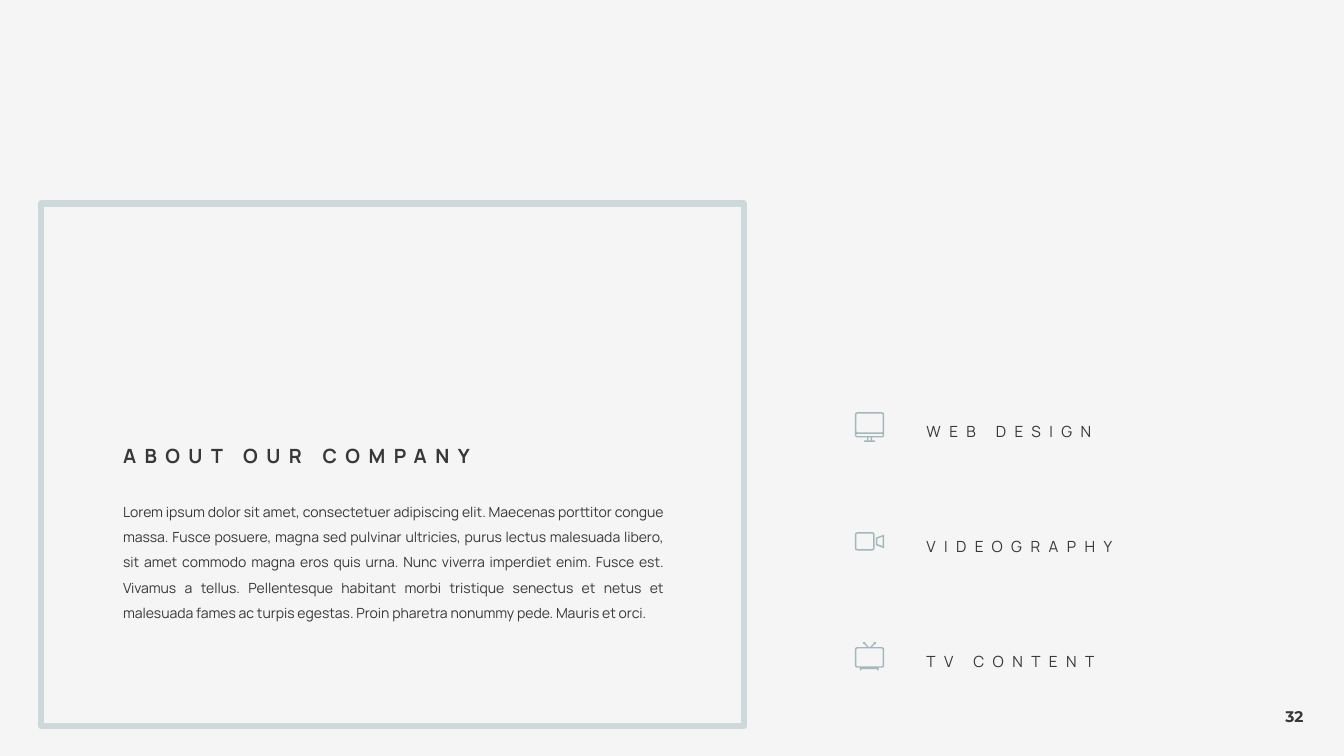
from pptx import Presentation, util as u
from pptx.dml.color import RGBColor
from pptx.enum import shapes, text
from pptx.oxml.ns import qn
from lxml import etree

PAPER = RGBColor(0xF5, 0xF5, 0xF5)
INK = RGBColor(0x38, 0x38, 0x3A)
SAGE = RGBColor(0xA1, 0xB9, 0xBB)
MIST = RGBColor(0xCD, 0xD8, 0xDA)

deck = Presentation()
deck.slide_width, deck.slide_height = u.Inches(13.33), u.Inches(7.5)
slide = deck.slides.add_slide(deck.slide_layouts[1])
slide.background.fill.solid()
slide.background.fill.fore_color.rgb = PAPER


def write(words, at, box=None, size=11, font="Manrope", bold=False, track=0,
          align=text.PP_ALIGN.LEFT, anchor=text.MSO_ANCHOR.TOP, lead=1.5, wrap=True):
    """Fill a placeholder, or a new text box, with one formatted paragraph."""
    spot = [u.Inches(n) for n in at]
    box = box or slide.shapes.add_textbox(*spot)
    box.left, box.top, box.width, box.height = spot
    frame = box.text_frame
    frame.word_wrap = wrap
    frame.auto_size = text.MSO_AUTO_SIZE.SHAPE_TO_FIT_TEXT
    frame.vertical_anchor = anchor
    para = frame.paragraphs[0]
    props = para._p.get_or_add_pPr()
    props.set("marL", "0")
    props.set("indent", "0")
    etree.SubElement(props, qn("a:buNone"))
    para.alignment, para.line_spacing = align, lead
    para.space_before = u.Pt(0)
    run = para.add_run()
    run.text = words
    run.font.size, run.font.name, run.font.bold = u.Pt(size), font, bold
    run.font.color.rgb = INK
    if track:
        run._r.get_or_add_rPr().set("spc", str(track * 100))


def draw(parts, left, top):
    """Draw an icon from (radius, corners) outlines in thousandths of an inch."""
    pen = None
    for radius, corners in parts:
        if len(corners) == 2:  # opposite corners of a box
            (l, t), (r, b) = corners
            corners = [(l, t), (r, t), (r, b), (l, b)]
        curve = []
        for i, (x, y) in enumerate(corners):
            ends = []
            for nx, ny in (corners[i - 1], corners[(i + 1) % len(corners)]):
                cut = radius / ((nx - x) ** 2 + (ny - y) ** 2) ** 0.5
                ends.append((x + (nx - x) * cut, y + (ny - y) * cut))
            (ax, ay), (bx, by) = ends
            for k in range(5 if radius else 1):
                s = k / 4
                curve.append(((1 - s) ** 2 * ax + 2 * s * (1 - s) * x + s * s * bx,
                              (1 - s) ** 2 * ay + 2 * s * (1 - s) * y + s * s * by))
        if pen is None:
            pen = slide.shapes.build_freeform(*curve[0], scale=u.Inches(0.001))
        else:
            pen.move_to(*curve[0])
        pen.add_line_segments(curve[1:], close=True)
    icon = pen.convert_to_shape(u.Inches(left), u.Inches(top))
    icon.shadow.inherit = False
    icon.fill.solid()
    icon.fill.fore_color.rgb = SAGE
    icon.line.fill.background()


# Page number
write("32", (12.65, 6.97, 0.41, 0.29), font="Montserrat", bold=True, lead=1, wrap=False)

# About the company
write("Lorem ipsum dolor sit amet, consectetuer adipiscing elit. Maecenas porttitor "
      "congue massa. Fusce posuere, magna sed pulvinar ultricies, purus lectus malesuada "
      "libero, sit amet commodo magna eros quis urna. Nunc viverra imperdiet enim. Fusce "
      "est. Vivamus a tellus. Pellentesque habitant morbi tristique senectus et netus et "
      "malesuada fames ac turpis egestas. Proin pharetra nonummy pede. Mauris et orci.",
      (1.12, 4.86, 5.56, 1.62), box=slide.placeholders[1], size=10,
      align=text.PP_ALIGN.JUSTIFY)
write("ABOUT OUR COMPANY", (1.12, 4.24, 5.56, 0.45), box=slide.shapes.title, size=14,
      bold=True, track=6, align=text.PP_ALIGN.JUSTIFY)

# Icon outlines
screen = [(25, [(0, 0), (290, 250)]), (14, [(14, 14), (276, 200)]),
          (10, [(14, 214), (276, 238)]), (0, [(120, 250), (134, 280)]),
          (0, [(156, 250), (170, 280)]), (5, [(90, 280), (200, 293)])]
camera = [(25, [(0, 50), (195, 232)]), (14, [(14, 64), (181, 218)]),
          (6, [(208, 104), (290, 74), (290, 210), (208, 180)]),
          (0, [(222, 114), (276, 94), (276, 188), (222, 168)])]
aerial = [(122, 50), (140, 50), (104, 14), (104, 0), (82, 0), (82, 20), (94, 22)]
tube = [(25, [(0, 50), (290, 255)]), (14, [(14, 64), (276, 241)]),
        (3, aerial), (3, [(290 - x, y) for x, y in aerial]),
        (3, [(50, 255), (235, 255), (235, 282), (220, 282),
             (220, 270), (65, 270), (65, 282), (50, 282)])]

# Services
services = [("WEB DESIGN", screen), ("VIDEOGRAPHY", camera), ("TV CONTENT", tube)]
for row, (name, parts) in enumerate(services):
    drop = row * 1.14
    draw(parts, 8.48, 4.09 + drop)
    write(name, (9.09, 4.06 + drop, 3.62, 0.35), track=6, anchor=text.MSO_ANCHOR.MIDDLE)

# Frame
frame = slide.shapes.add_shape(shapes.MSO_SHAPE.RECTANGLE, u.Inches(0.41), u.Inches(2.02),
                               u.Inches(6.97), u.Inches(5.18))
frame.shadow.inherit = False
frame.fill.background()
frame.line.color.rgb = MIST
frame.line.width = u.Pt(4.5)

deck.save("out.pptx")
